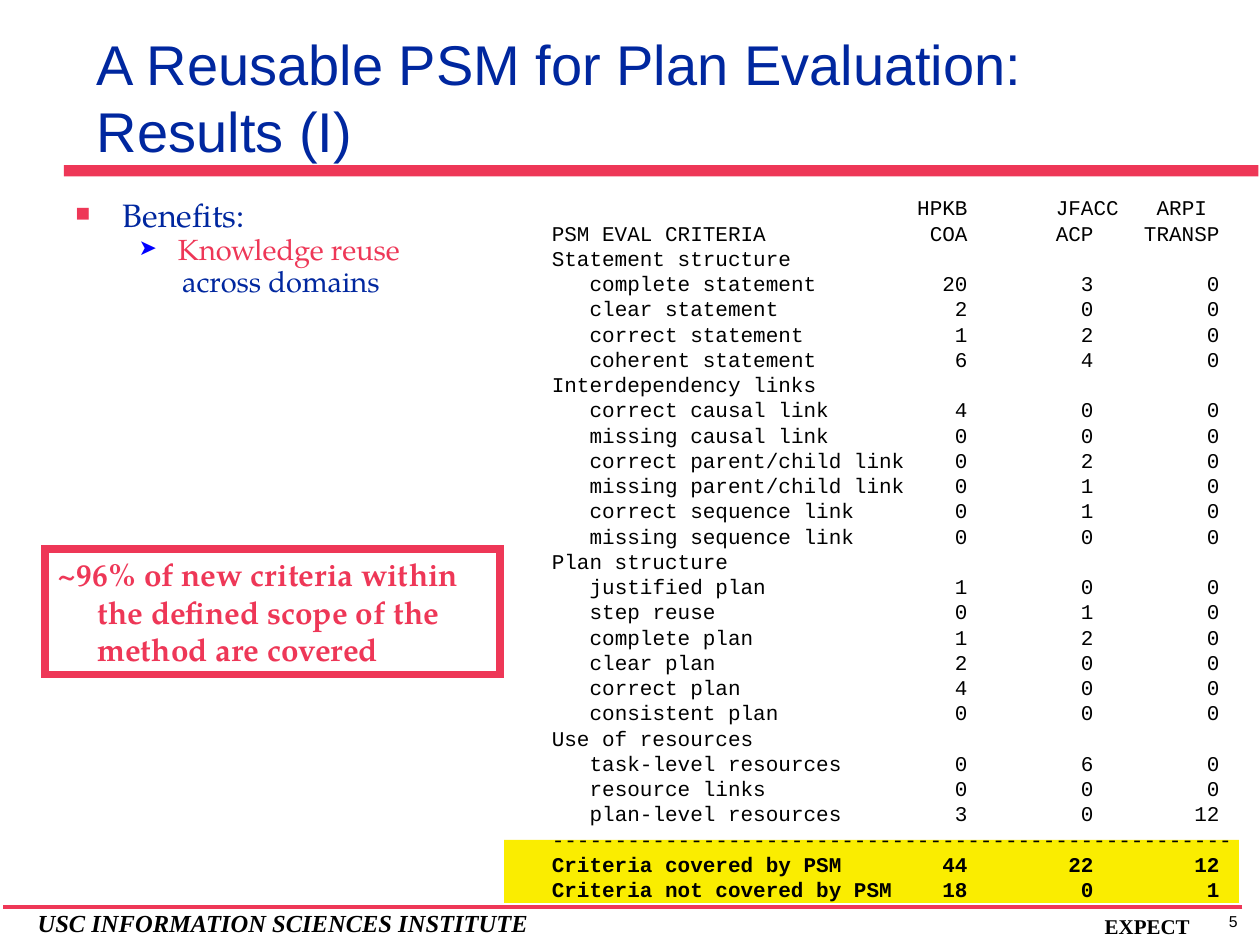
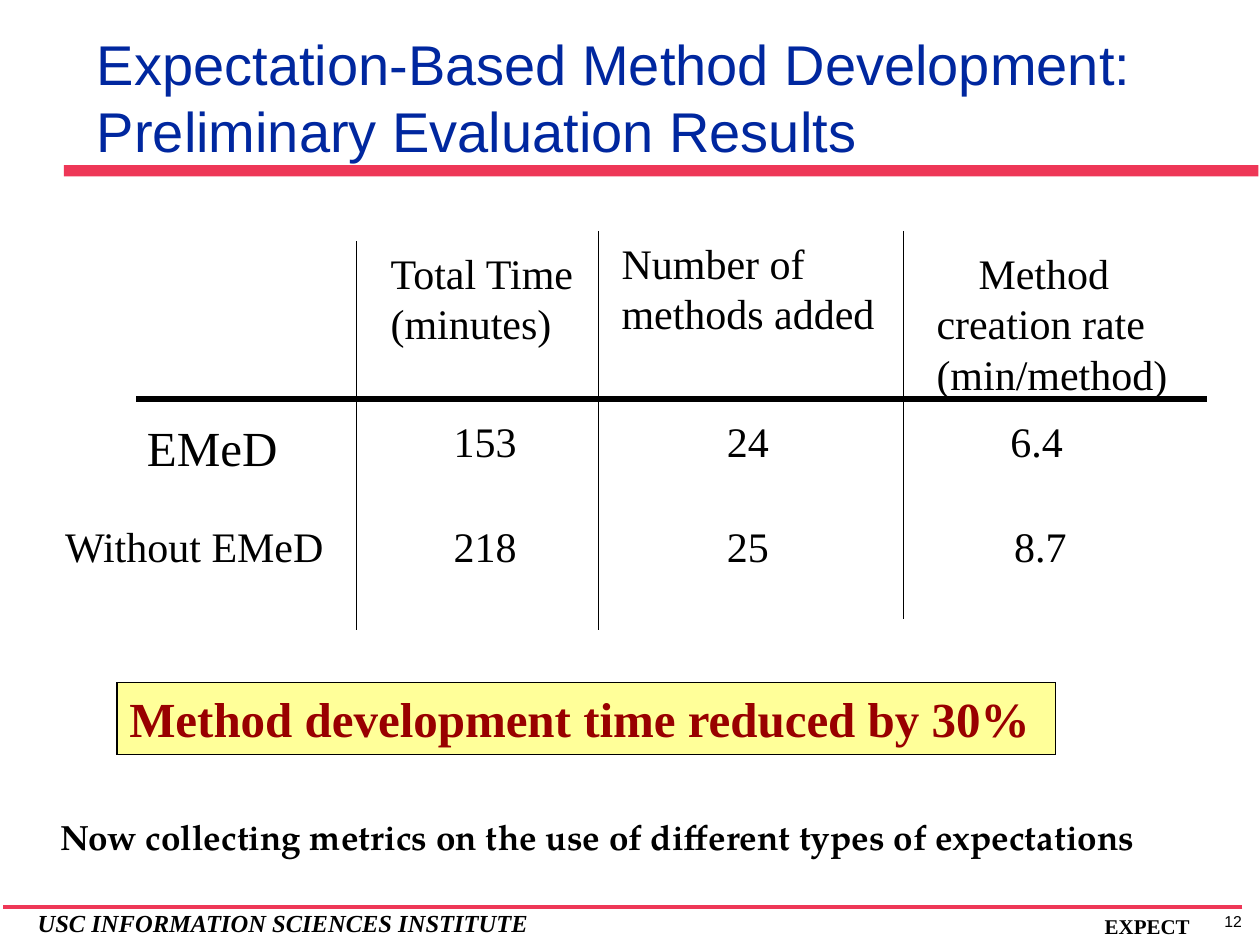
from lxml import etree
from pptx import Presentation
from pptx.dml.color import RGBColor
from pptx.enum.shapes import MSO_CONNECTOR, MSO_SHAPE
from pptx.enum.text import MSO_ANCHOR, MSO_AUTO_SIZE, PP_ALIGN
from pptx.oxml.ns import qn
from pptx.util import Pt

LEFT, CENTER, RIGHT = PP_ALIGN.LEFT, PP_ALIGN.CENTER, PP_ALIGN.RIGHT
TOP, BOTTOM = MSO_ANCHOR.TOP, MSO_ANCHOR.BOTTOM
NO_AUTOFIT = MSO_AUTO_SIZE.NONE
RECTANGLE, STRAIGHT = MSO_SHAPE.RECTANGLE, MSO_CONNECTOR.STRAIGHT

BLACK = RGBColor(0x00, 0x00, 0x00)
RED = RGBColor(0xEE, 0x37, 0x57)
NAVY = RGBColor(0x00, 0x27, 0x9F)
BLUE = RGBColor(0x00, 0x00, 0xFF)
YELLOW = RGBColor(0xFA, 0xED, 0x00)
PALE_YELLOW = RGBColor(0xFF, 0xFF, 0x99)
DARK_RED = RGBColor(0x99, 0x00, 0x00)

SANS, SERIF = "Arial", "Times New Roman"
BOOK, MONO = "TeX Gyre Pagella", "Courier New"
PLAIN_TABLE = "{2D5ABB26-0587-4C30-8999-92F81FD0307C}"
TITLE_ONLY, TITLE_AND_BODY = 5, 1


def write(para, text, size=24, font=SERIF, color=BLACK, bold=False, italic=False,
          align=LEFT, spacing=None, before=0, margin=0, indent=0, bullet=None,
          bullet_color=None):
    """Fill one paragraph; spacing is a proportion, else 1.2 times the size."""
    properties = para._p.get_or_add_pPr()
    properties.set("marL", str(Pt(margin)))
    properties.set("indent", str(Pt(indent)))
    if bullet:
        tint = etree.SubElement(properties, qn("a:buClr"))
        etree.SubElement(tint, qn("a:srgbClr"), val=str(bullet_color))
        etree.SubElement(properties, qn("a:buSzPct"), val="75000")
        etree.SubElement(properties, qn("a:buChar"), char=bullet)
    else:
        etree.SubElement(properties, qn("a:buNone"))
    para.alignment = align
    para.line_spacing = spacing or Pt(size * 1.2)
    para.space_before, para.space_after = Pt(before), Pt(0)
    if not text:
        # An empty cell keeps the row height of its text size
        etree.SubElement(para._p, qn("a:endParaRPr"), sz=str(int(size * 100)))
        return
    for number, line in enumerate(text.split("\n")):
        if number:
            para.add_line_break()
        span = para.add_run()
        span.text = line
        span.font.size, span.font.name = Pt(size), font
        span.font.bold, span.font.italic = bold, italic
        span.font.color.rgb = color


class SlideBuilder:
    def __init__(self):
        self.deck = Presentation()
        self.deck.slide_width, self.deck.slide_height = Pt(720), Pt(540)
        self.slide = None

    def new_slide(self, layout, title, number):
        self.slide = self.deck.slides.add_slide(self.deck.slide_layouts[layout])
        holder = self.slide.shapes.title
        self.place(holder, 48.2, 6.5, 610.5, 90.7)
        self.fill_frame(holder.text_frame, [title], anchor=BOTTOM,
                        size=32, font=SANS, color=NAVY)
        # Title band and footer
        self.box(36.5, 94.3, 682.6, 6.5, fill=RED)
        self.line(709.9, 518.4, 1.8, 518.4, RED, 2)
        self.text(677, 517.7, 55.4, 18, [str(number)], size=9, font=SANS, align=CENTER)
        self.text(14.4, 515.2, 314, 23.8, ["USC INFORMATION SCIENCES INSTITUTE"],
                  size=14, bold=True, italic=True)
        self.text(624.2, 518.4, 84.2, 21.6, ["EXPECT"], size=12, bold=True)

    def place(self, shape, left, top, width, height):
        shape.left, shape.top = Pt(left), Pt(top)
        shape.width, shape.height = Pt(width), Pt(height)

    def fill_frame(self, frame, paragraphs, anchor=TOP, wrap=True, **style):
        """Each paragraph is a text, or a text with its own format."""
        frame.word_wrap, frame.auto_size = wrap, NO_AUTOFIT
        frame.vertical_anchor = anchor
        frame.margin_left = frame.margin_right = Pt(7.2)
        frame.margin_top = frame.margin_bottom = Pt(3.6)
        for number, item in enumerate(paragraphs):
            text, own = (item, {}) if isinstance(item, str) else item
            para = frame.add_paragraph() if number else frame.paragraphs[0]
            write(para, text, **{**style, **own})

    def body(self, left, top, width, height, paragraphs, **style):
        holder = self.slide.placeholders[1]
        self.place(holder, left, top, width, height)
        self.fill_frame(holder.text_frame, paragraphs, **style)

    def text(self, left, top, width, height, paragraphs, **style):
        box = self.slide.shapes.add_textbox(Pt(left), Pt(top), Pt(width), Pt(height))
        self.fill_frame(box.text_frame, paragraphs, **style)

    def box(self, left, top, width, height, paragraphs=(), fill=None, outline=None,
            weight=0.75, **style):
        box = self.slide.shapes.add_shape(RECTANGLE, Pt(left), Pt(top), Pt(width), Pt(height))
        box.shadow.inherit = False
        if fill is None:
            box.fill.background()
        else:
            box.fill.solid()
            box.fill.fore_color.rgb = fill
        if outline is None:
            box.line.fill.background()
        else:
            box.line.color.rgb, box.line.width = outline, Pt(weight)
            etree.SubElement(box._element.spPr.find(qn("a:ln")), qn("a:miter"), lim="800000")
        if paragraphs:
            self.fill_frame(box.text_frame, paragraphs, **style)

    def line(self, x1, y1, x2, y2, color=BLACK, weight=0.75):
        rule = self.slide.shapes.add_connector(STRAIGHT, Pt(x1), Pt(y1), Pt(x2), Pt(y2))
        rule.line.color.rgb, rule.line.width = color, Pt(weight)
        etree.SubElement(rule._element.spPr, qn("a:effectLst"))

    def table(self, left, top, widths, heights):
        frame = self.slide.shapes.add_table(len(heights), len(widths), Pt(left), Pt(top),
                                            Pt(sum(widths)), Pt(sum(heights)))
        table = frame.table
        table._tbl.tblPr.find(qn("a:tableStyleId")).text = PLAIN_TABLE
        table.first_row = table.horz_banding = False
        for column, width in zip(table.columns, widths):
            column.width = Pt(width)
        for row, height in zip(table.rows, heights):
            row.height = Pt(height)
        return table

    def cell(self, cell, paragraphs, left=0, top=0, right=0, **style):
        cell.fill.background()
        self.fill_frame(cell.text_frame, paragraphs, **style)
        cell.margin_left, cell.margin_right = Pt(left), Pt(right)
        cell.margin_top, cell.margin_bottom = Pt(top), Pt(0)
        cell.vertical_anchor = TOP


HEADINGS = [("", "HPKB", "JFACC", "ARPI"), ("PSM EVAL CRITERIA", "COA", "ACP", "TRANSP")]
CRITERIA = {
    "Statement structure": [
        ("complete statement", 20, 3, 0), ("clear statement", 2, 0, 0),
        ("correct statement", 1, 2, 0), ("coherent statement", 6, 4, 0)],
    "Interdependency links": [
        ("correct causal link", 4, 0, 0), ("missing causal link", 0, 0, 0),
        ("correct parent/child link", 0, 2, 0), ("missing parent/child link", 0, 1, 0),
        ("correct sequence link", 0, 1, 0), ("missing sequence link", 0, 0, 0)],
    "Plan structure": [
        ("justified plan", 1, 0, 0), ("step reuse", 0, 1, 0), ("complete plan", 1, 2, 0),
        ("clear plan", 2, 0, 0), ("correct plan", 4, 0, 0), ("consistent plan", 0, 0, 0)],
    "Use of resources": [
        ("task-level resources", 0, 6, 0), ("resource links", 0, 0, 0),
        ("plan-level resources", 3, 0, 12)],
}
TOTALS = [("Criteria covered by PSM", 44, 22, 12), ("Criteria not covered by PSM", 18, 0, 1)]
HEADING_MARGINS = {"JFACC": 0, "ARPI": 21.6}


def criteria_table(builder):
    # Rows as (values, label indent, bold)
    rows = [(values, 0, False) for values in HEADINGS]
    for section, items in CRITERIA.items():
        rows.append(((section, "", "", ""), 0, False))
        rows += [(values, 21.6, False) for values in items]
    rows.append((("-" * 54, "", "", ""), 0, False))
    rows += [(values, 0, True) for values in TOTALS]

    table = builder.table(315.3, 112.4, [206, 46, 72, 72], [14.4] * len(rows))
    for row, (values, indent, bold) in enumerate(rows):
        for column, value in enumerate(values):
            style = dict(size=12, font=MONO, bold=bold)
            if column:
                style.update(align=RIGHT, right=HEADING_MARGINS.get(value, 14.4))
            else:
                style.update(left=indent)
            builder.cell(table.cell(row, column), [str(value)], **style)
        if values[1] == "":
            table.cell(row, 0).merge(table.cell(row, 3))


def reuse_slide(builder):
    builder.new_slide(TITLE_AND_BODY, "A Reusable PSM for Plan Evaluation:\nResults (I)", 5)
    builder.body(36, 113.8, 270, 66.2, [
        ("Benefits:", dict(size=18.5, margin=27, indent=-27, bullet="■",
                           bullet_color=RED, before=0)),
        ("Knowledge reuse", dict(color=RED, margin=58.5, indent=-22.5, bullet="➤",
                                 bullet_color=BLUE)),
        ("across domains", dict(margin=60.8)),
    ], size=16.6, font=BOOK, color=NAVY, spacing=0.7, before=4.5)

    # Criteria counts with highlighted totals
    builder.box(288, 480, 420, 36, fill=YELLOW)
    criteria_table(builder)

    # Coverage callout
    hanging = dict(margin=22.5)
    builder.box(25.9, 313.5, 260, 72, [
        "~96% of new criteria within",
        ("the defined scope of the", hanging),
        ("method are covered", hanging),
    ], outline=RED, weight=4.5, wrap=False, size=18, font=BOOK, color=RED, bold=True)


def evaluation_slide(builder):
    builder.new_slide(TITLE_ONLY, "Expectation-Based Method Development: "
                      "Preliminary Evaluation Results", 12)

    # Each cell: paragraphs, left margin and any other format
    results = [
        [([""], 0, {}),
         (["Total Time", "(minutes)"], 19.2, {}),
         (["Number of", "methods added"], 13.2, dict(top=3.8)),
         ([("Method creation rate", dict(indent=24)), "(min/method)"], 19.2, {})],
        [(["EMeD"], 54, dict(size=28, top=11)),
         (["153"], 55.2, {}), (["24"], 73.4, {}), (["6.4"], 61.4, {})],
        [(["Without EMeD"], 7.2, {}),
         (["218"], 55.2, {}), (["25"], 73.4, {}), (["8.7"], 63.6, {})],
    ]
    table = builder.table(30, 132.2, [174, 138, 174, 180], [96, 60, 72])
    for row, cells in enumerate(results):
        for column, (paragraphs, left, style) in enumerate(cells):
            builder.cell(table.cell(row, column), paragraphs, left=left,
                         **{"top": 9.6, **style})

    # Table rules
    builder.line(78, 228, 690, 228, weight=3)
    for x, top, bottom in [(203.8, 138, 360), (342, 132, 360), (516.2, 132, 354)]:
        builder.line(x, top, x, bottom)

    # Conclusion and outlook
    builder.box(66.8, 390.2, 536.4, 41, ["Method development time reduced by 30%"],
                fill=PALE_YELLOW, outline=BLACK, wrap=False, size=28, color=DARK_RED, bold=True)
    builder.text(27.4, 462.2, 692, 31.7,
                 ["Now collecting metrics on the use of different types of expectations"],
                 wrap=False, size=20, font=BOOK, bold=True)


def main():
    builder = SlideBuilder()
    reuse_slide(builder)
    evaluation_slide(builder)
    builder.deck.save("out.pptx")


if __name__ == "__main__":
    main()
